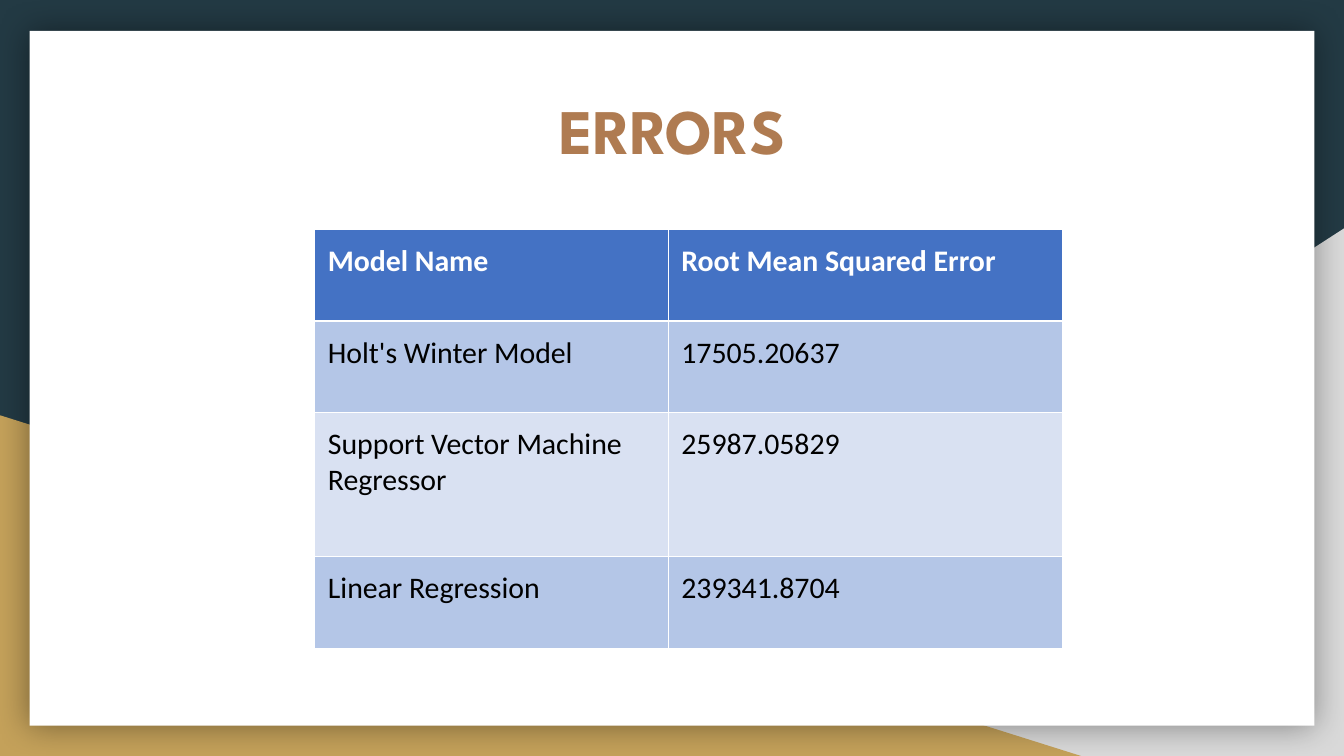
import pptx
import pptx.dml.color
import pptx.enum.shapes
import pptx.enum.text
import pptx.oxml
import pptx.oxml.ns
import pptx.util
from lxml import etree

Inches = pptx.util.Inches
Pt = pptx.util.Pt
RGBColor = pptx.dml.color.RGBColor
Shape = pptx.enum.shapes.MSO_SHAPE
qn = pptx.oxml.ns.qn

NAVY = RGBColor(0x23, 0x3A, 0x44)
GREY = RGBColor(0xD9, 0xD9, 0xD9)
GOLD = RGBColor(0xC4, 0xA1, 0x5A)
BROWN = RGBColor(0xAF, 0x7B, 0x51)
BLUE = RGBColor(0x44, 0x72, 0xC4)
MID = RGBColor(0xB4, 0xC6, 0xE7)
PALE = RGBColor(0xD9, 0xE1, 0xF2)
WHITE = RGBColor(0xFF, 0xFF, 0xFF)
BLACK = RGBColor(0, 0, 0)

WIDE = 10
HIGH = WIDE * 9 / 16

ROWS = [
    ("Model Name", "Root Mean Squared Error"),
    ("Holt's Winter Model", "17505.20637"),
    ("Support Vector Machine Regressor", "25987.05829"),
    ("Linear Regression", "239341.8704"),
]
WIDTHS = [2.63, 2.93]
HEIGHTS = [0.68, 0.68, 1.07, 0.68]


class Deck:
    head_font = "League Spartan"
    body_font = "Calibri"
    inset = Inches(0.1)

    def __init__(self, width, height):
        self.file = pptx.Presentation()
        self.file.slide_width = Inches(width)
        self.file.slide_height = Inches(height)
        self.slide = self.file.slides.add_slide(self.file.slide_layouts[5])
        fill = self.slide.background.fill
        fill.solid()
        fill.fore_color.rgb = NAVY

    def shape(self, kind, box, color):
        shape = self.slide.shapes.add_shape(kind, *map(Inches, box))
        shape.shadow.inherit = False
        shape.fill.solid()
        shape.fill.fore_color.rgb = color
        shape.line.fill.background()
        return shape

    def flip(self, shape):
        shape._element.spPr.find(qn("a:xfrm")).set("flipH", "1")

    def glow(self, shape, blur, alpha):
        """Put an even, centred black shadow around the shape."""
        effects = shape._element.spPr.find(qn("a:effectLst"))
        shadow = etree.SubElement(effects, qn("a:outerShdw"), blurRad=str(Pt(blur)),
                                  dist="0", dir="0", algn="ctr", rotWithShape="0")
        color = etree.SubElement(shadow, qn("a:srgbClr"), val=str(BLACK))
        etree.SubElement(color, qn("a:alpha"), val=str(alpha * 1000))

    def style(self, par, name, size, color, bold):
        for run in par.runs:
            font = run.font
            font.name, font.size, font.bold = name, Pt(size), bold
            font.color.rgb = color

    def title(self, text, box):
        title = self.slide.shapes.title
        self.slide.shapes._spTree.append(title._element)  # bring to front
        title.left, title.top, title.width, title.height = map(Inches, box)
        frame = title.text_frame
        frame.text = text
        frame.word_wrap = True
        frame.auto_size = pptx.enum.text.MSO_AUTO_SIZE.NONE
        frame.vertical_anchor = pptx.enum.text.MSO_ANCHOR.TOP
        frame.margin_left = frame.margin_right = self.inset
        frame.margin_top = frame.margin_bottom = self.inset
        par = frame.paragraphs[0]
        par.alignment = pptx.enum.text.PP_ALIGN.CENTER
        self.style(par, self.head_font, 34, BROWN, True)

    def table(self, rows, left, top, widths, heights):
        table = self.slide.shapes.add_table(
            len(rows), len(widths), Inches(left), Inches(top),
            Inches(sum(widths)), Inches(sum(heights))).table
        for column, width in zip(table.columns, widths):
            column.width = Inches(width)
        for row, height in zip(table.rows, heights):
            row.height = Inches(height)
        for r, texts in enumerate(rows):
            for c, text in enumerate(texts):
                self.cell(table.cell(r, c), text, r)
                self.rules(table.cell(r, c), r, c, len(rows), len(widths))

    def cell(self, cell, text, row):
        head = row == 0
        cell.margin_left = cell.margin_right = self.inset
        cell.margin_top = cell.margin_bottom = self.inset
        cell.text_frame.text = text
        self.style(cell.text_frame.paragraphs[0], self.body_font, 16,
                   WHITE if head else BLACK, head)
        cell.fill.solid()
        cell.fill.fore_color.rgb = BLUE if head else MID if row % 2 else PALE

    def rules(self, cell, row, col, rows, cols):
        """Draw white inner borders, thicker below the header."""
        widths = {
            "L": 0.5 if col else 0,
            "R": 0.5 if col < cols - 1 else 0,
            "T": (0, 1.5)[row] if row < 2 else 0.5,
            "B": 1.5 if row == 0 else 0.5 if row < rows - 1 else 0,
        }
        props = cell._tc.get_or_add_tcPr()
        for spot, (side, width) in enumerate(widths.items()):
            line = etree.Element(qn("a:ln" + side), w=str(Pt(width)))
            if width:
                fill = etree.SubElement(line, qn("a:solidFill"))
                etree.SubElement(fill, qn("a:srgbClr"), val=str(WHITE))
            else:
                etree.SubElement(line, qn("a:noFill"))
            props.insert(spot, line)


def main():
    deck = Deck(WIDE, HIGH)
    deck.flip(deck.shape(Shape.RIGHT_TRIANGLE, (3.92, 1.7, 6.08, 3.93), GREY))
    deck.shape(Shape.RIGHT_TRIANGLE, (0, 3.09, 8.06, 2.54), GOLD)
    card = deck.shape(Shape.RECTANGLE, (0.22, 0.23, 9.56, 5.17), WHITE)
    deck.glow(card, 18, 40)
    deck.title("ERRORS", (0.9, 0.58, 8.21, 1.39))
    deck.table(ROWS, 2.34, 1.71, WIDTHS, HEIGHTS)
    deck.file.save("out.pptx")


if __name__ == "__main__":
    main()
